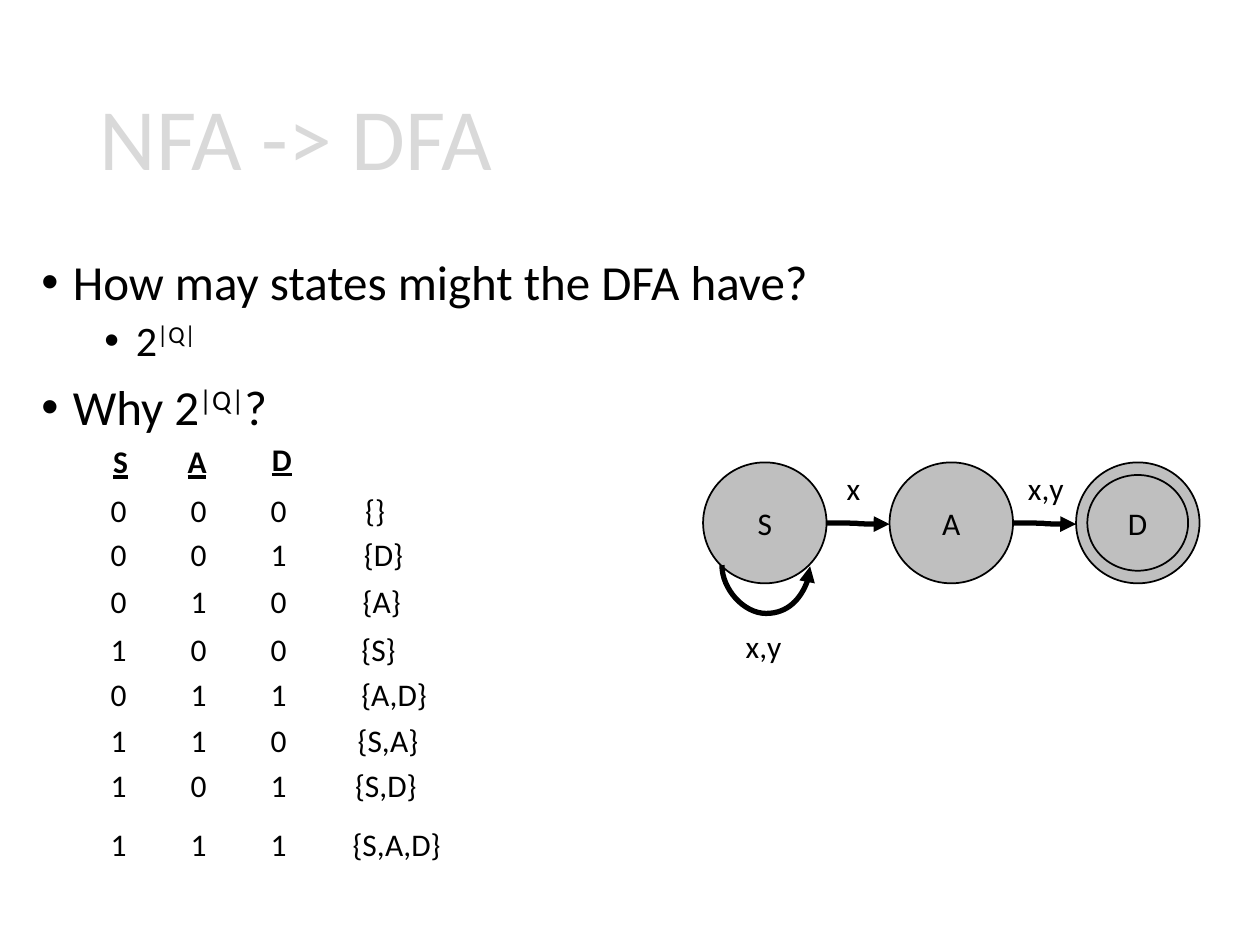
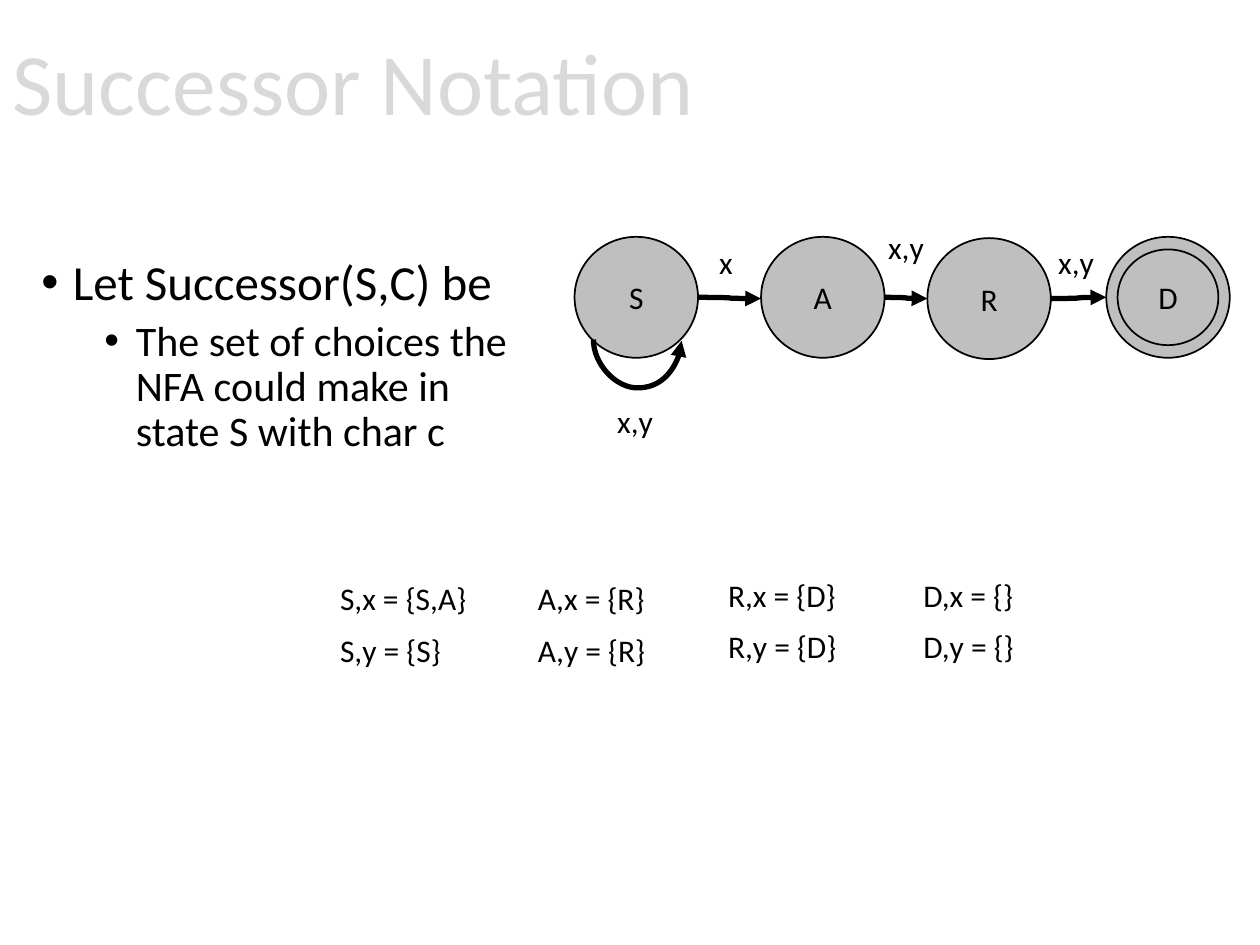
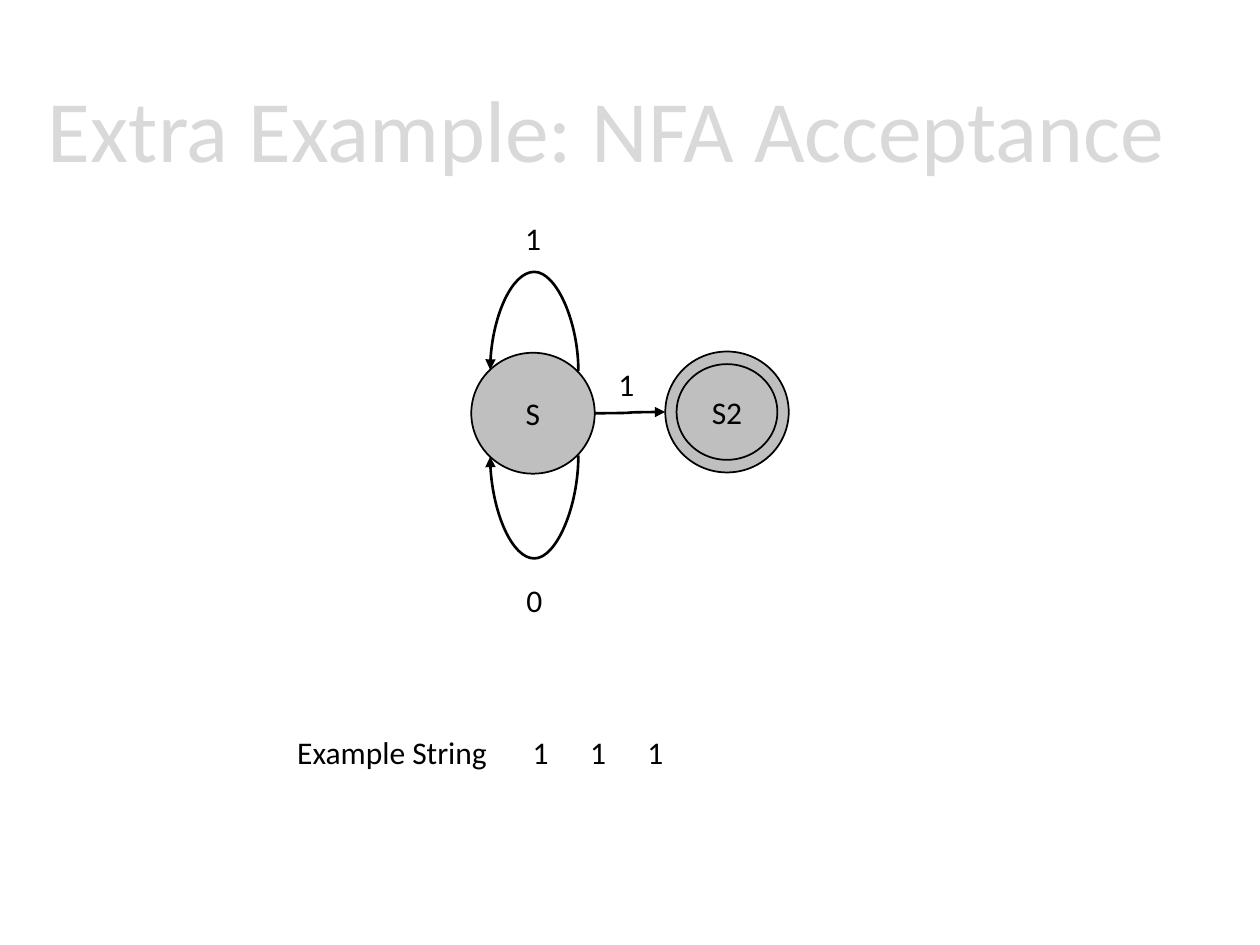
from pptx import Presentation
from pptx.dml.color import RGBColor
from pptx.enum import shapes, text
from pptx.oxml import ns, xmlchemy
from pptx.util import Inches, Pt

FONT = "Calibri"
BLACK, GREY, PALE = "000000", "BFBFBF", "D9D9D9"
STATE_W, STATE_H = 0.98, 0.96
LINE_H, DIGIT_W, PAIR_W = 0.4, 0.33, 0.49
LOOP_W, LOOP_SPAN = 0.01, 0.7


def color(value):
    return RGBColor.from_string(value)


def add_run(p, words, size=18, hue=BLACK, bold=False, underline=False, raised=False):
    r = p.add_run()
    r.text = words
    r.font.name, r.font.size = FONT, Pt(size)
    r.font.color.rgb = color(hue)
    if bold:
        r.font.bold = True
    if underline:
        r.font.underline = True
    if raised:
        r.font._element.set("baseline", "30000")


def add_child(parent, tag, **attrs):
    child = xmlchemy.OxmlElement(tag)
    for name, value in attrs.items():
        child.set(name, value)
    parent.append(child)


def titled_slide(prs, title, left, top, width):
    s = prs.slides.add_slide(prs.slide_layouts[5])
    sp = s.shapes.title
    sp.left, sp.top, sp.width, sp.height = map(Inches, (left, top, width, 1.45))
    tf = sp.text_frame
    tf.word_wrap = True
    tf.auto_size = text.MSO_AUTO_SIZE.NONE
    tf.vertical_anchor = text.MSO_ANCHOR.MIDDLE
    p = tf.paragraphs[0]
    p.alignment, p.line_spacing = text.PP_ALIGN.LEFT, 0.9
    add_run(p, title, 50, PALE)
    return s


def bullets(s, left, top, width, height, items):
    tf = s.shapes.add_textbox(*map(Inches, (left, top, width, height))).text_frame
    tf.word_wrap = True
    for i, (level, runs) in enumerate(items):
        p = tf.add_paragraph() if i else tf.paragraphs[0]
        p.level, p.line_spacing = level, 0.9
        p.space_before = Pt(5 if level else 10)
        pPr = p._p.get_or_add_pPr()
        pPr.set("marL", str(Inches(0.25 + 0.5 * level)))
        pPr.set("indent", str(Inches(-0.25)))
        add_child(pPr, "a:buFont", typeface="Arial")
        add_child(pPr, "a:buChar", char="•")
        for words, raised in runs:
            add_run(p, words, 24 if level else 28, raised=raised)


def label(s, words, left, top, width=DIGIT_W, **style):
    tf = s.shapes.add_textbox(*map(Inches, (left, top, width, LINE_H))).text_frame
    tf.word_wrap = False
    tf.auto_size = text.MSO_AUTO_SIZE.SHAPE_TO_FIT_TEXT
    add_run(tf.paragraphs[0], words, **style)


def ellipse(s, name, left, top, width, height):
    sp = s.shapes.add_shape(shapes.MSO_SHAPE.OVAL, *map(Inches, (left, top, width, height)))
    sp.shadow.inherit = False
    sp.fill.solid()
    sp.fill.fore_color.rgb = color(GREY)
    sp.line.color.rgb = color(BLACK)
    sp.line.width = Pt(1)
    if name:
        tf = sp.text_frame
        tf.vertical_anchor = text.MSO_ANCHOR.MIDDLE
        tf.paragraphs[0].alignment = text.PP_ALIGN.CENTER
        add_run(tf.paragraphs[0], name)
    return sp


def state(s, name, left, top, accepting=False):
    sp = ellipse(s, None if accepting else name, left, top, STATE_W, STATE_H)
    if accepting:
        ellipse(s, name, left + 0.09, top + 0.1, 0.8, 0.76)
    return sp


def curve(s, x1, y1, x2, y2, weight):
    c = s.shapes.add_connector(shapes.MSO_CONNECTOR.CURVE, x1, y1, x2, y2)
    c.line.color.rgb = color(BLACK)
    c.line.width = Pt(weight)
    add_child(c.line._get_or_add_ln(), "a:tailEnd", type="triangle")
    add_child(c._element.spPr, "a:effectLst")
    return c


def link(s, a, b, weight=3, drop=0.0):
    curve(s, a.left + a.width, a.top + a.height // 2,
          b.left, b.top + b.height // 2 + Inches(drop), weight)


def loop(s, center, middle, depth, turn, flip=None, weight=3):
    left, top = center - LOOP_W / 2, middle - LOOP_SPAN / 2
    c = curve(s, *map(Inches, (left, top, left + LOOP_W, top + LOOP_SPAN)), weight)
    spPr = c._element.spPr
    xfrm = spPr.find(ns.qn("a:xfrm"))
    xfrm.set("rot", str(turn * 60000))
    if flip:
        xfrm.set(flip, "1")
    add_child(spPr.find(ns.qn("a:prstGeom")).find(ns.qn("a:avLst")), "a:gd",
              name="adj1", fmla=f"val {round(depth / LOOP_W * 100000)}")


def automaton(s, left, top, states, drops, edge_labels):
    nodes = [state(s, name, left + dx, top + dy, name == "D") for name, dx, dy in states]
    for a, b, drop in zip(nodes, nodes[1:], drops):
        link(s, a, b, drop=drop)
    loop(s, left + 0.5, top + 0.82, 0.39, 270, "flipH")
    label(s, "x,y", left + 0.24, top + 1.26, PAIR_W)
    for words, dx, dy, width in edge_labels:
        label(s, words, left + dx, top + dy, width)


def truth_table(s, left, top):
    for name, dx, dy, width in [("S", 0.02, 0.02, 0.32), ("A", 0.61, 0.02, 0.35), ("D", 1.28, 0, 0.36)]:
        label(s, name, left + dx, top + dy, width, bold=True, underline=True)
    rows = [
        ("000", "{}", 0.41, 2.02, 0.36),
        ("001", "{D}", 0.76, 2.01, 0.52),
        ("010", "{A}", 1.13, 2, 0.51),
        ("100", "{S}", 1.51, 1.99, 0.48),
        ("011", "{A,D}", 1.87, 1.99, 0.73),
        ("110", "{S,A}", 2.23, 1.96, 0.69),
        ("101", "{S,D}", 2.59, 1.94, 0.69),
        ("111", "{S,A,D}", 3.06, 1.92, 0.91),
    ]
    for bits, subset, dy, dx, width in rows:
        for i, bit in enumerate(bits):
            label(s, bit, left + 0.635 * i, top + dy)
        label(s, subset, left + dx, top + dy, width)


def successor_table(s, left, top):
    columns = [
        (0, 0.03, [("S,x = {S,A}", 1.22), ("S,y = {S}", 1.01)]),
        (1.57, 0.03, [("A,x = {R}", 1.06), ("A,y = {R}", 1.06)]),
        (3.08, 0, [("R,x = {D}", 1.07), ("R,y = {D}", 1.07)]),
        (4.63, 0, [("D,x = {}", 0.92), ("D,y = {}", 0.93)]),
    ]
    for dx, dy, entries in columns:
        for i, (words, width) in enumerate(entries):
            label(s, words, left + dx, top + dy + 0.41 * i, width)


def acceptance_automaton(s, left, top):
    start = state(s, "S", left, top)
    final = state(s, "S2", left + 1.54, top - 0.01, True)
    link(s, start, final, 1.5)
    loop(s, left + 0.5, top + 0.14, 0.8, 270, "flipV", 1.5)
    loop(s, left + 0.5, top + 0.82, 0.83, 90, weight=1.5)
    for words, dx, dy in [("1", 0.33, -1.11), ("0", 0.34, 1.76), ("1", 1.07, 0.05)]:
        label(s, words, left + dx, top + dy)


def example_string(s, left, top, symbols):
    label(s, "Example String", left, top, 1.72)
    for i, symbol in enumerate(symbols):
        label(s, symbol, left + 1.87 + 0.455 * i, top)


def main():
    prs = Presentation()
    prs.slide_width, prs.slide_height = Inches(10), Inches(7.5)

    s = titled_slide(prs, "NFA -> DFA", 0.69, 0.4, 8.62)
    bullets(s, 0.23, 2, 9.46, 4.76, [
        (0, [("How may states might the DFA have?", False)]),
        (1, [("2", False), ("|Q|", True)]),
        (0, [("Why 2", False), ("|Q|", True), ("?", False)]),
    ])
    automaton(s, 5.58, 3.67, [("S", 0, 0), ("A", 1.48, 0), ("D", 2.96, 0)], [0.01, 0.01],
              [("x", 1.04, 0, 0.31), ("x,y", 2.48, 0, PAIR_W)])
    truth_table(s, 0.78, 3.44)

    s = titled_slide(prs, "Successor Notation", 0, -0.03, 8.62)
    bullets(s, 0.23, 2, 3.98, 4.76, [
        (0, [("Let Successor(S,C) be", False)]),
        (1, [("The set of choices the NFA could make in state S with char c", False)]),
    ])
    automaton(s, 4.56, 1.88,
              [("S", 0, 0), ("A", 1.48, 0), ("R", 2.8, 0.01), ("D", 4.22, 0)], [0.01, 0, 0],
              [("x", 1.05, 0, 0.31), ("x,y", 2.39, -0.12, PAIR_W), ("x,y", 3.74, 0, PAIR_W)])
    successor_table(s, 2.6, 4.52)

    s = titled_slide(prs, "Extra Example: NFA Acceptance", 0.28, 0.34, 9.6)
    acceptance_automaton(s, 3.74, 2.8)
    example_string(s, 2.26, 5.77, "111")

    prs.save("out.pptx")


if __name__ == "__main__":
    main()
